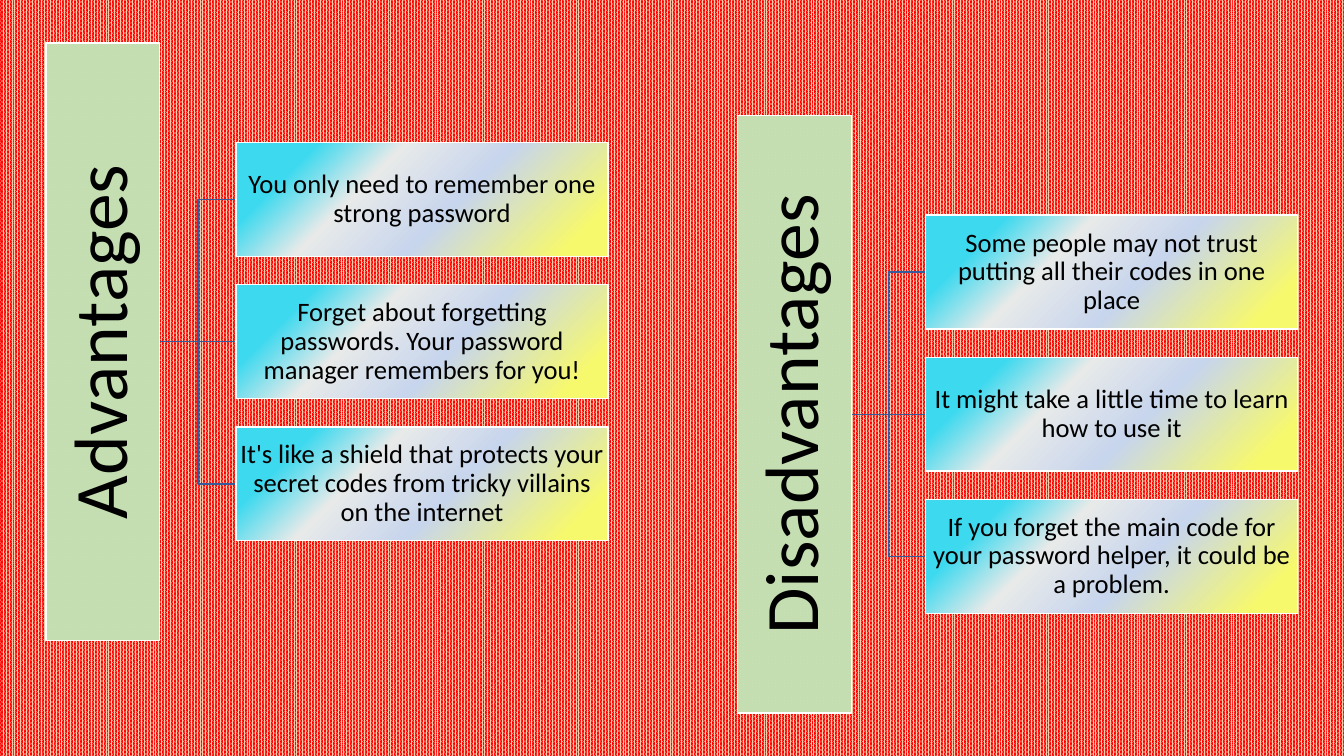
import pptx
import pptx.dml.color
import pptx.enum.dml
import pptx.enum.shapes
import pptx.enum.text
import pptx.oxml
import pptx.oxml.ns
import pptx.util
from lxml import etree

Inches = pptx.util.Inches
BOX_STOPS = [(10, "F7F96C", 100), (42, "C7D5ED", 100), (65, "E8EAE9", 100), (83, "3DD9EF", 100)]
BAR_STOPS = [(10, "FF8AD8", 84), (39, "F8CBAD", 100), (65, "FFD966", 100), (83, "C5E0B4", 100)]
BAR_LENGTH, BOX_WIDTH, HEIGHT, STEP = 5.93, 3.69, 1.13, 1.41

GROUPS = [
    # title, bar centre x, centre y, box left, gradient focus, box texts
    ("Disadvantages", 7.88, 4.11, 9.18, 'l="0" t="100000" r="100000" b="0"', [
        "Some people may not trust putting all their codes in one place",
        "It might take a little time to learn how to use it",
        "If you forget the main code for your password helper, it could be a problem.",
    ]),
    ("Advantages", 1.02, 3.39, 2.34, 'l="100000" t="0" r="0" b="100000"', [
        "You only need to remember one strong password",
        "Forget about forgetting passwords. Your password manager remembers for you!",
        "It's like a shield that protects your secret codes from tricky villains on the internet",
    ]),
]


def color(value):
    return pptx.dml.color.RGBColor.from_string(value)


def add_panel(left, middle, width, text, size, inset, stops, shade, focus):
    """Add a gradient rectangle with centred text around a middle height."""
    panel = page.shapes.add_shape(
        pptx.enum.shapes.MSO_SHAPE.RECTANGLE,
        Inches(left), Inches(middle - HEIGHT / 2), Inches(width), Inches(HEIGHT))
    panel.shadow.inherit = False
    panel.line.color.rgb = color("FFFFFF")
    panel.line.width = pptx.util.Pt(1)

    stop_xml = "".join(
        f'<a:gs pos="{place * 1000}"><a:srgbClr val="{value}">'
        f'<a:alpha val="{alpha * 1000}"/></a:srgbClr></a:gs>'
        for place, value, alpha in stops)
    gradient = pptx.oxml.parse_xml(
        f'<a:gradFill {pptx.oxml.ns.nsdecls("a")} rotWithShape="1"><a:gsLst>{stop_xml}</a:gsLst>'
        f'<a:path path="{shade}"><a:fillToRect {focus}/></a:path></a:gradFill>')
    panel.fill.background()
    properties = panel._element.spPr
    properties.replace(properties.find(pptx.oxml.ns.qn("a:noFill")), gradient)

    frame = panel.text_frame
    frame.word_wrap = True
    frame.vertical_anchor = pptx.enum.text.MSO_ANCHOR.MIDDLE
    frame.margin_left = frame.margin_right = Inches(inset)
    frame.margin_top = frame.margin_bottom = Inches(inset)
    frame.text = text
    para = frame.paragraphs[0]
    para.alignment = pptx.enum.text.PP_ALIGN.CENTER
    para.line_spacing = 0.9
    font = para.runs[0].font
    font.name = "Calibri"
    font.size = pptx.util.Pt(size)
    font.color.rgb = color("000000")
    return panel


deck = pptx.Presentation()
deck.slide_width = Inches(13.33)
deck.slide_height = Inches(7.5)
page = deck.slides.add_slide(deck.slide_layouts[6])

backdrop = page.background.fill
backdrop.patterned()
backdrop.pattern = pptx.enum.dml.MSO_PATTERN.PERCENT_80
backdrop.fore_color.rgb = color("F8CBAD")
backdrop.back_color.rgb = color("FF0000")

for title, bar_x, center_y, box_left, bar_focus, texts in GROUPS:
    middles = [center_y + (index - 1) * STEP for index in range(len(texts))]

    for middle in middles:
        straight = middle == center_y
        kind = pptx.enum.shapes.MSO_CONNECTOR
        branch = page.shapes.add_connector(
            kind.STRAIGHT if straight else kind.ELBOW,
            Inches(bar_x + HEIGHT / 2), Inches(center_y), Inches(box_left), Inches(middle))
        branch.line.color.rgb = color("365B9D")
        branch.line.width = pptx.util.Pt(1)
        etree.SubElement(branch._element.spPr, pptx.oxml.ns.qn("a:effectLst"))

    bar = add_panel(bar_x - BAR_LENGTH / 2, center_y, BAR_LENGTH, title, 54, 0.04,
                    BAR_STOPS, "rect", bar_focus)
    bar.rotation = 270

    for middle, text in zip(middles, texts):
        add_panel(box_left, middle, BOX_WIDTH, text, 19, 0.01,
                  BOX_STOPS, "circle", 'l="100000" t="100000" r="0" b="0"')

deck.save("out.pptx")
